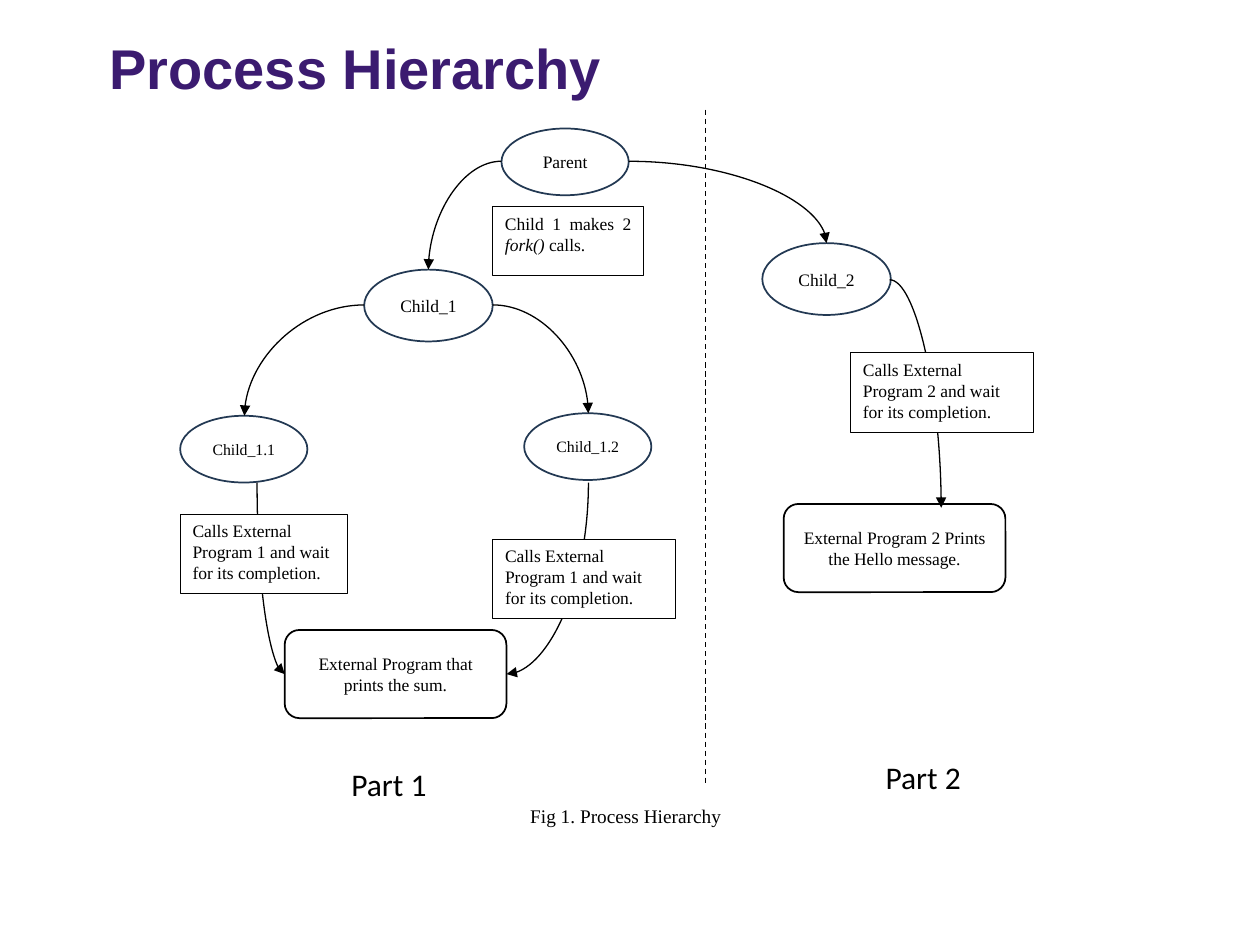
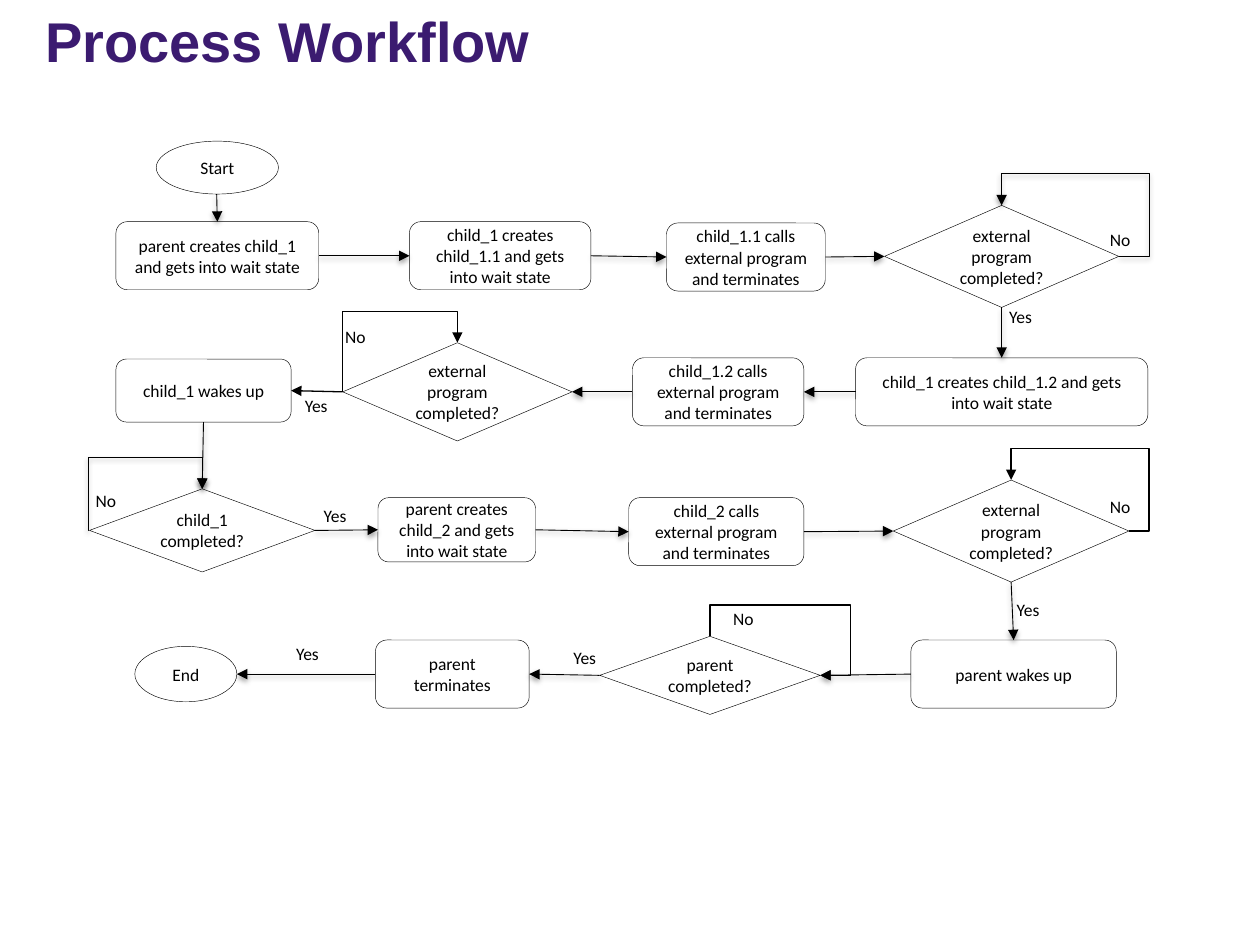
from lxml import etree
from pptx import Presentation
from pptx.dml.color import RGBColor
from pptx.enum.dml import MSO_LINE
from pptx.enum.shapes import MSO_CONNECTOR, MSO_SHAPE
from pptx.enum.text import MSO_ANCHOR, PP_ALIGN
from pptx.oxml.ns import qn
from pptx.util import Inches, Pt

OVAL, BOX = MSO_SHAPE.OVAL, MSO_SHAPE.RECTANGLE
ROUNDED, DECISION = MSO_SHAPE.ROUNDED_RECTANGLE, MSO_SHAPE.FLOWCHART_DECISION
STRAIGHT, ELBOW, CURVE = MSO_CONNECTOR.STRAIGHT, MSO_CONNECTOR.ELBOW, MSO_CONNECTOR.CURVE
LEFT, CENTER, JUSTIFY = PP_ALIGN.LEFT, PP_ALIGN.CENTER, PP_ALIGN.JUSTIFY
ANCHOR_TOP, ANCHOR_MIDDLE = MSO_ANCHOR.TOP, MSO_ANCHOR.MIDDLE
DASH = MSO_LINE.DASH
TOP_SIDE, LEFT_SIDE, BOTTOM_SIDE, RIGHT_SIDE = range(4)

BLACK, WHITE, PURPLE, NAVY = "000000", "FFFFFF", "3B1B70", "233953"
SERIF, SANS, TITLE_FONT = "Times New Roman", "Calibri", "Arial"


def color(hex_text):
    return RGBColor.from_string(hex_text)


def add_child(parent, tag, **attributes):
    child = etree.SubElement(parent, qn(tag))
    for name, value in attributes.items():
        child.set(name, str(value))
    return child


def write_text(shape, text, size=10, font=SANS, ink=BLACK, bold=False, align=LEFT,
               anchor=ANCHOR_TOP, wrap=True, space_after=0):
    """Fill the shape with text; parts between asterisks are italic."""
    frame = shape.text_frame
    frame.word_wrap = wrap
    frame.vertical_anchor = anchor
    paragraph = frame.paragraphs[0]
    paragraph.alignment = align
    paragraph.space_after = Pt(space_after)
    for index, part in enumerate(text.split("*")):
        run = paragraph.add_run()
        run.text = part
        run.font.name, run.font.size = font, Pt(size)
        run.font.bold, run.font.italic = bold, index % 2 == 1
        run.font.color.rgb = color(ink)


class Deck:
    def __init__(self):
        self.presentation = Presentation()
        self.presentation.slide_width = Inches(10)
        self.presentation.slide_height = Inches(7.5)
        self.slide = self.shapes = None
        self.font = SANS

    def new_slide(self, title, left, top, width, font):
        self.slide = self.presentation.slides.add_slide(self.presentation.slide_layouts[6])
        self.shapes = self.slide.shapes
        self.font = font
        self.label(title, left, top, width, 0.64, size=32, font=TITLE_FONT,
                   ink=PURPLE, bold=True, space_after=12)

    def start_group(self):
        self.shapes = self.slide.shapes.add_group_shape().shapes

    def end_group(self):
        self.shapes = self.slide.shapes

    def label(self, text, left, top, width, height, **text_format):
        box = self.shapes.add_textbox(*map(Inches, (left, top, width, height)))
        write_text(box, text, **text_format)

    def node(self, kind, text, left, top, width, height, fill=None, line=None,
             weight=0.25, align=CENTER, anchor=ANCHOR_MIDDLE, size=10):
        shape = self.shapes.add_shape(kind, *map(Inches, (left, top, width, height)))
        shape.shadow.inherit = False
        if fill:
            shape.fill.solid()
            shape.fill.fore_color.rgb = color(fill)
        else:
            shape.fill.background()
        if line:
            shape.line.color.rgb = color(line)
            shape.line.width = Pt(weight)
        else:
            shape.line.fill.background()
        write_text(shape, text, size=size, font=self.font, align=align, anchor=anchor)
        return shape

    def link(self, begin, end, kind=STRAIGHT, weight=0.5, arrow=True, dash=None, shadow=False):
        """Draw a line; each end is a point in inches or a (shape, side) pair."""
        ends = [(0, 0) if hasattr(target[0], "shape_id") else target for target in (begin, end)]
        connector = self.shapes.add_connector(kind, *map(Inches, ends[0] + ends[1]))
        for target, join in ((begin, connector.begin_connect), (end, connector.end_connect)):
            if hasattr(target[0], "shape_id"):
                join(*target)
        connector.line.color.rgb = color(BLACK)
        connector.line.width = Pt(weight)
        if dash:
            connector.line.dash_style = dash
        properties = connector.element.spPr
        if arrow:
            add_child(properties.find(qn("a:ln")), "a:tailEnd", type="triangle")
        effects = add_child(properties, "a:effectLst")
        if shadow:
            outer = add_child(effects, "a:outerShdw", blurRad=Pt(3.1), dist=Pt(1.6),
                              dir=5400000, rotWithShape=0)
            add_child(add_child(outer, "a:srgbClr", val=BLACK), "a:alpha", val=38000)
        return connector

    def turn_down(self, connector):
        """Make a connector leave vertically instead of horizontally."""
        across = connector.end_x - connector.begin_x
        left, top = connector.left, connector.top
        width, height = connector.width, connector.height
        connector.left = left + (width - height) // 2
        connector.top = top + (height - width) // 2
        connector.width, connector.height = height, width
        transform = connector.element.spPr.find(qn("a:xfrm"))
        transform.attrib.pop("flipH", None)
        transform.set("rot", "5400000")
        transform.set("flipV", "1" if across > 0 else "0")

    def curve(self, begin, end, down_first=False):
        connector = self.link(begin, end, CURVE, weight=0.75)
        connector.element.spPr.find(qn("a:prstGeom")).set("prst", "curvedConnector2")
        if down_first:
            self.turn_down(connector)

    def loop(self, begin, end, corner_x, corner_y, down_first=False, **line_format):
        """Draw a bent arrow around the outer corner given in inches."""
        connector = self.link(begin, end, ELBOW, **line_format)
        start_x, start_y = connector.begin_x, connector.begin_y
        ratios = [(Inches(corner_x) - start_x) / (connector.end_x - start_x),
                  (Inches(corner_y) - start_y) / (connector.end_y - start_y)]
        if down_first:
            ratios.reverse()
            self.turn_down(connector)
        geometry = connector.element.spPr.find(qn("a:prstGeom"))
        geometry.set("prst", "bentConnector4")
        for old in geometry.findall(qn("a:avLst")):
            geometry.remove(old)
        adjustments = add_child(geometry, "a:avLst")
        for number, ratio in enumerate(ratios, 1):
            add_child(adjustments, "a:gd", name=f"adj{number}", fmla=f"val {round(ratio * 100000)}")


def build_hierarchy(deck):
    deck.new_slide("Process Hierarchy", 0.77, 0.22, 8.76, SERIF)
    deck.label("Fig 1. Process Hierarchy", 4.11, 6.33, 2.08, 0.29, size=11, font=SERIF)
    deck.start_group()

    # Processes and the programs they run
    for text, left, top, width, height, size in (
            ("Child_1", 2.89, 2.14, 1.02, 0.57, 10), ("Parent", 3.98, 1.02, 1.01, 0.53, 10),
            ("Child_2", 6.05, 1.93, 1.02, 0.57, 10), ("Child_1.1", 1.43, 3.3, 1.01, 0.53, 9),
            ("Child_1.2", 4.16, 3.28, 1.01, 0.53, 9)):
        deck.node(OVAL, text, left, top, width, height, line=NAVY, weight=1, size=size)
    for text, left, top in (("External Program that prints the sum.", 2.26, 5),
                            ("External Program 2 Prints the Hello message.", 6.22, 4)):
        deck.node(ROUNDED, text, left, top, 1.76, 0.7, line=BLACK, weight=1)

    # Curved arrows
    for begin, end in (((3.98, 1.28), (3.4, 2.14)), ((2.89, 2.42), (1.94, 3.3)),
                       ((4.99, 1.28), (6.56, 1.93)), ((7.06, 2.22), (7.47, 4.03)),
                       ((3.91, 2.42), (4.67, 3.28))):
        deck.curve(begin, end)
    for begin, end in (((2.04, 3.83), (2.26, 5.35)), ((4.67, 3.83), (4.02, 5.35))):
        deck.curve(begin, end, down_first=True)

    # Notes that cover the arrows
    call = "Calls External Program {} and wait for its completion."
    for text, left, top, width, height, align in (
            ("Child 1 makes 2 *fork()* calls.", 3.91, 1.64, 1.2, 0.55, JUSTIFY),
            (call.format(2), 6.75, 2.8, 1.45, 0.63, LEFT),
            (call.format(1), 1.43, 4.08, 1.33, 0.63, LEFT),
            (call.format(1), 3.91, 4.28, 1.45, 0.63, LEFT)):
        deck.node(BOX, text, left, top, width, height, fill=WHITE, line=BLACK, weight=0.5,
                  align=align, anchor=ANCHOR_TOP)
    deck.end_group()

    # Divider and part names
    deck.link((5.6, 0.87), (5.6, 6.22), weight=0.75, arrow=False, dash=DASH)
    for text, left, top in (("Part 1", 2.69, 6.02), ("Part 2", 6.93, 5.97)):
        deck.label(text, left, top, 0.8, 0.4, size=18, wrap=False)


def build_workflow(deck):
    deck.new_slide("Process Workflow", 0.26, 0, 9.58, SANS)

    # Steps and decisions
    question = "external program completed?"
    steps = {name: deck.node(kind, text, *place, fill=WHITE, line=BLACK)
             for name, kind, text, *place in (
        ("start", OVAL, "Start", 1.24, 1.12, 0.97, 0.42),
        ("make_1", ROUNDED, "parent creates child_1 and gets into wait state", 0.92, 1.76, 1.61, 0.54),
        ("make_11", ROUNDED, "child_1 creates child_1.1 and gets into wait state", 3.25, 1.76, 1.44, 0.54),
        ("call_11", ROUNDED, "child_1.1 calls external program and terminates", 5.29, 1.77, 1.26, 0.54),
        ("done_11", DECISION, question, 7.02, 1.63, 1.86, 0.81),
        ("make_12", ROUNDED, "child_1 creates child_1.2 and gets into wait state", 6.79, 2.84, 2.32, 0.54),
        ("call_12", ROUNDED, "child_1.2 calls external program and terminates", 5.02, 2.84, 1.36, 0.54),
        ("done_12", DECISION, question, 2.72, 2.72, 1.82, 0.78),
        ("wake_1", ROUNDED, "child_1 wakes up", 0.92, 2.85, 1.39, 0.5),
        ("done_1", DECISION, "child_1 completed?", 0.71, 3.88, 1.79, 0.66),
        ("make_2", ROUNDED, "parent creates child_2 and gets into wait state", 3, 3.95, 1.25, 0.51),
        ("call_2", ROUNDED, "child_2 calls external program and terminates", 4.99, 3.95, 1.39, 0.54),
        ("done_2", DECISION, question, 7.09, 3.81, 1.87, 0.81),
        ("wake_parent", ROUNDED, "parent wakes up", 7.23, 5.08, 1.63, 0.54),
        ("done_parent", DECISION, "parent completed?", 4.76, 5.05, 1.75, 0.62),
        ("finish", ROUNDED, "parent terminates", 2.98, 5.08, 1.22, 0.54),
        ("end", OVAL, "End", 1.07, 5.13, 0.81, 0.44))}

    # Straight arrows, by direction
    rightward, leftward = (RIGHT_SIDE, LEFT_SIDE), (LEFT_SIDE, RIGHT_SIDE)
    downward = (BOTTOM_SIDE, TOP_SIDE)
    for (out_side, in_side), pairs in (
            (rightward, ("make_1 make_11", "make_11 call_11", "call_11 done_11",
                         "done_1 make_2", "make_2 call_2", "call_2 done_2")),
            (leftward, ("make_12 call_12", "call_12 done_12", "wake_parent done_parent",
                        "done_parent finish")),
            (downward, ("done_11 make_12", "wake_1 done_1", "done_2 wake_parent"))):
        for pair in pairs:
            source, target = pair.split()
            deck.link((steps[source], out_side), (steps[target], in_side), shadow=True)
    deck.link((steps["done_12"], LEFT_SIDE), (steps["wake_1"], RIGHT_SIDE), weight=0.75)
    deck.link((1.72, 1.54), (steps["make_1"], TOP_SIDE), shadow=True)
    deck.link((steps["finish"], LEFT_SIDE), (1.88, 5.35), shadow=True)

    # Waiting loops
    for name, side, corner_x, corner_y, weight, shadow in (
            ("done_1", LEFT_SIDE, 0.7, 3.63, 0.5, True),
            ("done_11", RIGHT_SIDE, 9.12, 1.38, 0.5, True),
            ("done_12", LEFT_SIDE, 2.72, 2.47, 0.75, False),
            ("done_2", RIGHT_SIDE, 9.12, 3.56, 0.75, False)):
        deck.loop((steps[name], side), (steps[name], TOP_SIDE), corner_x, corner_y,
                  weight=weight, shadow=shadow)
    deck.loop((steps["done_parent"], TOP_SIDE), (steps["done_parent"], RIGHT_SIDE),
              6.75, 4.8, down_first=True, weight=0.75)

    # Answers
    for answer, places in (
            ("No", ((8.64, 1.76), (2.57, 2.53), (8.64, 3.88), (0.59, 3.83), (5.65, 4.77))),
            ("Yes", ((7.85, 2.37), (2.26, 3.08), (2.41, 3.95), (4.39, 5.08), (2.19, 5.05),
                     (7.91, 4.7)))):
        for left, top in places:
            deck.node(ROUNDED, answer, left, top, 0.5, 0.28)


def main():
    deck = Deck()
    build_hierarchy(deck)
    build_workflow(deck)
    deck.presentation.save("out.pptx")


if __name__ == "__main__":
    main()
